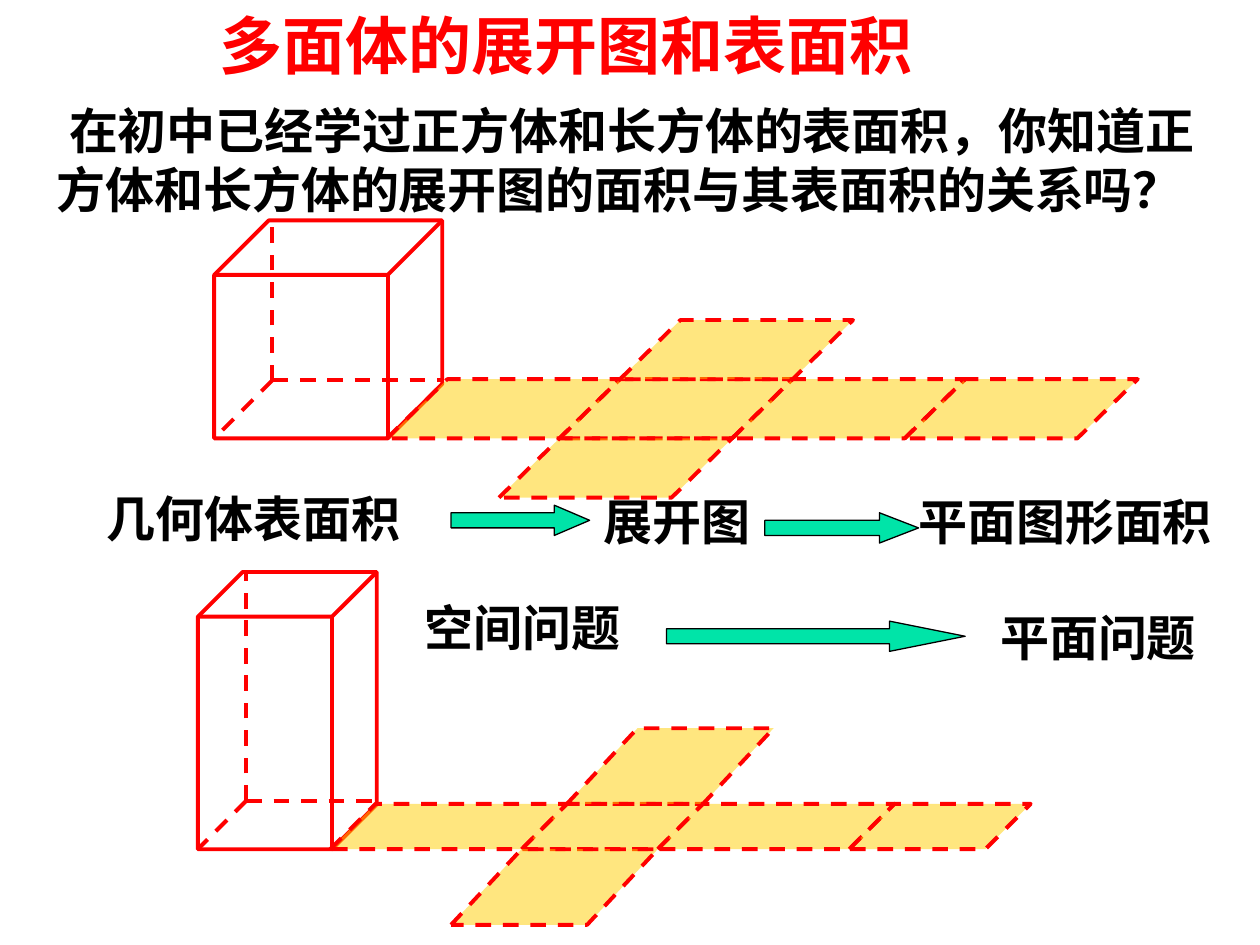
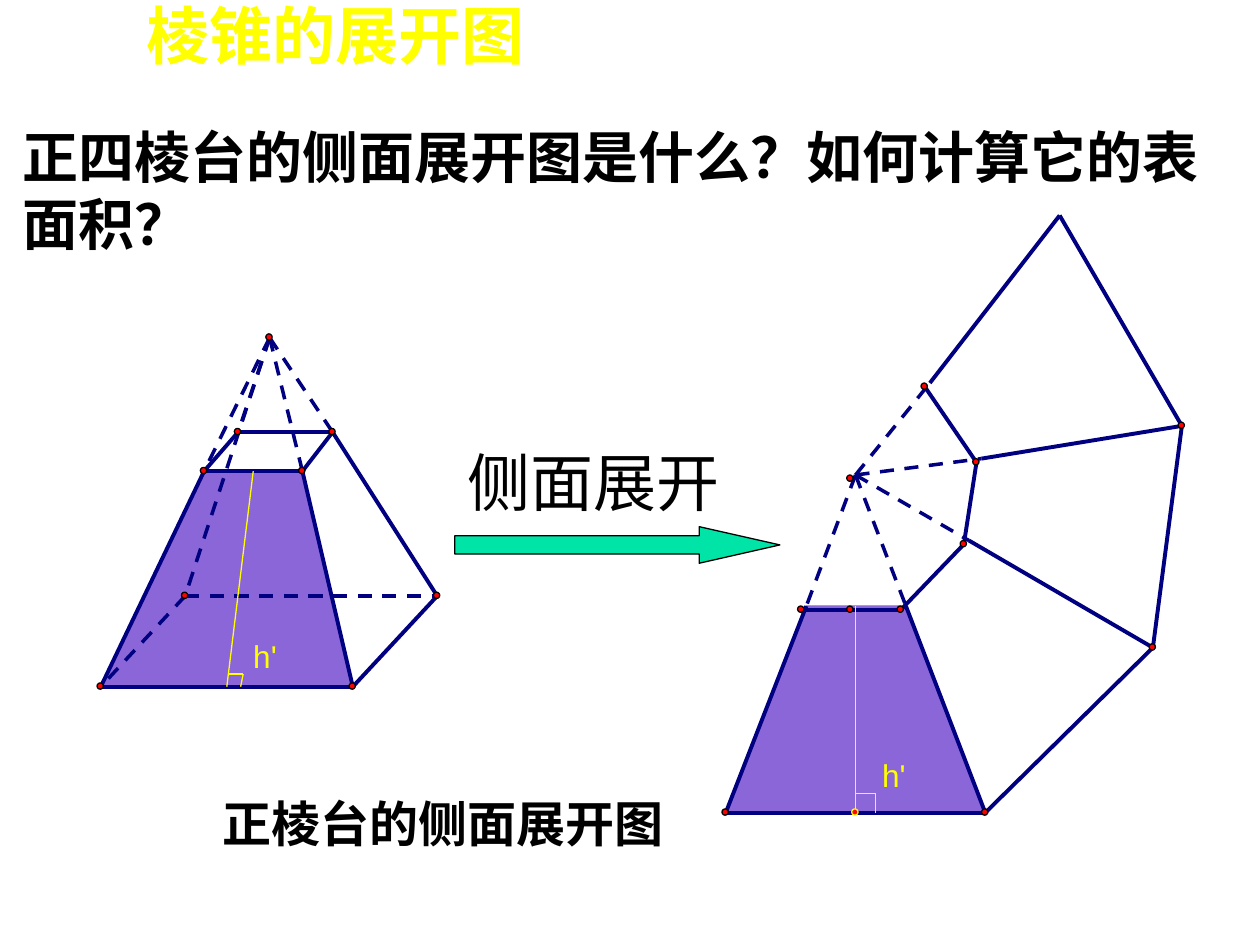
import pptx
import pptx.util
import pptx.dml.color
import pptx.enum.dml
import pptx.enum.shapes
import pptx.enum.text
import pptx.oxml
import pptx.oxml.ns
from dataclasses import dataclass

Inches = pptx.util.Inches
Pt = pptx.util.Pt
SHAPE = pptx.enum.shapes.MSO_SHAPE
ALIGN = pptx.enum.text.PP_ALIGN


@dataclass(frozen=True)
class Theme:
    """Colours, fonts and type sizes of the deck."""

    ink: str = "000000"
    red: str = "FF0000"
    yellow: str = "FFFF00"
    gold: str = "FFCF01"
    green: str = "00E4A8"
    navy: str = "000080"
    violet: str = "8A66D9"
    title_font: str = "Roboto"
    body_font: str = "Arial"
    serif_font: str = "Times New Roman"
    chinese_font: str = "Noto Sans CJK SC"
    title: int = 36
    question: int = 32
    body: int = 28
    label: int = 18
    thick: float = 2.25
    thin: float = 0.75
    leading: float = 1.2


THEME = Theme()


def rgb(colour):
    """Turn a hex string into a colour."""
    return pptx.dml.color.RGBColor.from_string(colour)


def write(frame, text, size=THEME.body, font=THEME.body_font, colour=THEME.ink,
          bold=True, align=ALIGN.LEFT, wrap=True, inset=(0.1, 0.05), indent=0):
    """Fill a text frame with one formatted paragraph."""
    frame.word_wrap = wrap
    frame.auto_size = pptx.enum.text.MSO_AUTO_SIZE.NONE
    frame.vertical_anchor = pptx.enum.text.MSO_ANCHOR.TOP
    frame.margin_left = frame.margin_right = Inches(inset[0])
    frame.margin_top = frame.margin_bottom = Inches(inset[1])
    paragraph = frame.paragraphs[0]
    paragraph.alignment = align
    paragraph.line_spacing = Pt(size * THEME.leading)
    if indent:
        paragraph._p.get_or_add_pPr().set("indent", str(Inches(indent)))
    run = paragraph.add_run()
    run.text = text
    run.font.size, run.font.bold, run.font.name = Pt(size), bold, font
    run.font.color.rgb = rgb(colour)
    east_asian = pptx.oxml.parse_xml(
        f'<a:ea {pptx.oxml.ns.nsdecls("a")} typeface="{THEME.chinese_font}"/>')
    run._r.get_or_add_rPr().find(pptx.oxml.ns.qn("a:latin")).addnext(east_asian)


def add_text(slide, box, text, **style):
    """Place text in a box given in inches."""
    write(slide.shapes.add_textbox(*map(Inches, box)).text_frame, text, **style)


def add_title(slide, box, text, colour):
    """Move and format the title placeholder."""
    title = slide.shapes.title
    title.left, title.top, title.width, title.height = map(Inches, box)
    write(title.text_frame, text, size=THEME.title, font=THEME.title_font,
          colour=colour, align=ALIGN.CENTER)


def stroke(line, colour, width, dashed=False):
    """Format an outline or a connector line."""
    line.color.rgb = rgb(colour)
    line.width = Pt(width)
    if dashed:
        line.dash_style = pptx.enum.dml.MSO_LINE.DASH


def paint(shape, fill=None, line=THEME.ink, width=THEME.thin, dashed=False):
    """Give a shape its fill and outline and no shadow."""
    shape.shadow.inherit = False
    if fill:
        shape.fill.solid()
        shape.fill.fore_color.rgb = rgb(fill)
    else:
        shape.fill.background()
    stroke(shape.line, line, width, dashed)


def add_preset(slide, kind, box, adjustments=(), **style):
    """Add a preset shape with its adjustments and paint."""
    shape = slide.shapes.add_shape(kind, *map(Inches, box))
    for index, value in enumerate(adjustments):
        shape.adjustments[index] = value
    paint(shape, **style)
    return shape


def add_line(slide, start, end, colour, width, dashed=False):
    """Draw a straight line between two points."""
    line = slide.shapes.add_connector(
        pptx.enum.shapes.MSO_CONNECTOR.STRAIGHT, *map(Inches, (*start, *end)))
    line._element.spPr.append(
        pptx.oxml.parse_xml(f'<a:effectLst {pptx.oxml.ns.nsdecls("a")}/>'))
    stroke(line.line, colour, width, dashed)


def add_arrow(slide, box, head):
    """Add a green block arrow whose head is given in inches."""
    add_preset(slide, SHAPE.RIGHT_ARROW, box, (0.5, head / box[3]), fill=THEME.green)


def add_prism(slide, box):
    """Draw a red box solid with its hidden edges dashed."""
    left, top, width, height = box
    add_preset(slide, SHAPE.CUBE, box, (0.25,), line=THEME.red, width=THEME.thick)
    depth = min(width, height) / 4 + 0.03
    hidden = (left + depth, top + height - depth)
    for end in ((hidden[0], top), (left, top + height), (left + width, hidden[1])):
        add_line(slide, hidden, end, THEME.red, THEME.thick, dashed=True)


def add_net_face(slide, box, slant):
    """Add one half-transparent slanted face of a net."""
    face = add_preset(slide, SHAPE.PARALLELOGRAM, box, (slant / min(box[2:]),),
                      fill=THEME.gold, line=THEME.red, width=THEME.thick, dashed=True)
    colour = face._element.spPr.find(pptx.oxml.ns.qn("a:solidFill"))[0]
    colour.append(pptx.oxml.parse_xml(
        f'<a:alpha {pptx.oxml.ns.nsdecls("a")} val="50000"/>'))


def add_prism_net(slide, left, top, edges, slant, height, flap_slant, flap_height):
    """Lay four side faces in a strip, with a flap above and below the second."""
    for index in range(4):
        edge = edges[index % 2]
        add_net_face(slide, (left, top, edge + slant, height), slant)
        if index == 1:
            flap = (edge + flap_slant, flap_height)
            add_net_face(slide, (left + slant, top - flap_height, *flap), flap_slant)
            add_net_face(slide, (left - flap_slant, top + height, *flap), flap_slant)
        left += edge


def add_figure(slide, left, top, points, face, edges, dashes, dots, marks, label):
    """Draw a labelled figure from named points relative to its corner."""
    at = {name: (left + x, top + y) for name, (x, y) in points.items()}
    corners = [tuple(map(Inches, at[name])) for name in face]
    outline = slide.shapes.build_freeform(*corners[0], scale=1.0)
    outline.add_line_segments(corners[1:], close=True)
    paint(outline.convert_to_shape(), fill=THEME.violet, line=THEME.violet, width=0)
    for pairs, colour, width, dashed in (
            (dashes, THEME.navy, 0, True),
            (edges, THEME.navy, THEME.thick, False),
            (marks, THEME.yellow, THEME.thin, False)):
        for start, end in pairs.split():
            add_line(slide, at[start], at[end], colour, width, dashed)
    add_text(slide, (left + label[0], top + label[1], 0.19, 0.3), "h'",
             size=THEME.label, colour=THEME.yellow, bold=False, wrap=False, inset=(0, 0))
    for name in dots:
        x, y = at[name]
        add_preset(slide, SHAPE.OVAL, (x - 0.03, y - 0.03, 0.05, 0.05), fill=THEME.red,
                   line=THEME.yellow if name == "M" else THEME.ink, width=0)


def add_frustum(slide, left, top):
    """Draw the frustum with the pyramid it was cut from."""
    points = {
        "P": (1.34, 0.02), "A": (0, 2.79), "B": (2, 2.79), "C": (2.67, 2.07),
        "D": (0.67, 2.07), "a": (0.82, 1.08), "b": (1.6, 1.08), "c": (1.84, 0.77),
        "d": (1.09, 0.77), "m": (1.21, 1.08), "M": (1, 2.79),
        "r": (1.01, 2.69), "s": (1.13, 2.69), "t": (1.11, 2.79)}
    add_figure(slide, left, top, points, "ABba", "AB BC ab bc cd da aA bB cC",
               "DA DC PD Pa Pb Pc Pd", "ABCDPabcd", "mM rs st", (1.21, 2.4))


def add_frustum_net(slide, left, top):
    """Draw the fan of side faces unfolded around the apex."""
    points = {
        "P": (1.03, 2.06), "A": (0, 4.74), "B": (2.06, 4.74), "C": (3.39, 3.43),
        "D": (3.62, 1.67), "E": (2.65, 0), "a": (0.64, 3.1), "b": (1.43, 3.1),
        "c": (1.93, 2.58), "d": (2.03, 1.93), "e": (1.62, 1.33), "m": (1.03, 3.1),
        "M": (1.03, 4.74), "r": (1.03, 4.59), "s": (1.19, 4.59), "t": (1.19, 4.74)}
    for inner, ring in zip("abcdemP", "vwxyznQ"):
        x, y = points[inner]
        points[ring] = (x - 0.04, y + 0.03)
    add_figure(slide, left, top, points, "ABba",
               "AB BC CD DE vw wx xy yz aA bB cC dD eE",
               "Pa Pb Pc Pd Pe", "ABCDMvwxyznQ", "mM rs st", (1.24, 4.29))


def build_prism_slide(slide):
    """Build the slide on prism nets and surface area."""
    add_title(slide, (1.3, 0, 6.38, 0.7), "多面体的展开图和表面积", THEME.red)
    add_text(slide, (0.35, 0.75, 9.37, 1.04),
             "在初中已经学过正方体和长方体的表面积，你知道正方体和长方体的展开图的面积与其表面积的关系吗？",
             indent=0.1)
    add_prism(slide, (1.7, 1.75, 1.81, 1.73))
    add_prism(slide, (1.57, 4.54, 1.42, 2.2))
    add_prism_net(slide, 3.07, 3.01, (1.37, 1.37), 0.48, 0.47, 0.48, 0.47)
    add_prism_net(slide, 2.62, 6.38, (1.52, 1.08), 0.36, 0.36, 0.56, 0.6)
    for text, left, top, width, wrap in (
            ("几何体表面积", 0.75, 3.83, 2.78, True),
            ("展开图", 4.69, 3.85, 1.36, False),
            ("平面图形面积", 7.19, 3.85, 2.81, True),
            ("空间问题", 3.27, 4.69, 1.75, False),
            ("平面问题", 7.84, 4.77, 1.97, True)):
        add_text(slide, (left, top, width, 0.57), text, wrap=wrap)
    for left, top, width, head in (
            (3.58, 4.01, 1.1, 0.28), (6.07, 4.07, 1.22, 0.31), (5.29, 4.93, 2.37, 0.6)):
        add_arrow(slide, (left, top, width, 0.24), head)


def build_frustum_slide(slide):
    """Build the slide on the net of a square frustum."""
    add_title(slide, (0.75, -0.08, 3.83, 0.7), "棱锥的展开图", THEME.yellow)
    add_text(slide, (0.08, 0.92, 9.67, 1.17),
             "正四棱台的侧面展开图是什么？如何计算它的表面积？",
             size=THEME.question, font=THEME.chinese_font)
    add_arrow(slide, (3.61, 4.18, 2.58, 0.29), 0.64)
    add_text(slide, (3.61, 3.47, 2.33, 0.7), "侧面展开",
             size=THEME.title, font=THEME.serif_font, bold=False)
    add_frustum(slide, 0.8, 2.66)
    add_frustum_net(slide, 5.76, 1.71)
    add_text(slide, (1.67, 6.25, 3.83, 0.57), "正棱台的侧面展开图")


def main():
    """Build both slides and save the deck."""
    deck = pptx.Presentation()
    deck.slide_width, deck.slide_height = Inches(10), Inches(7.5)
    for build in (build_prism_slide, build_frustum_slide):
        build(deck.slides.add_slide(deck.slide_layouts[5]))
    deck.save("out.pptx")


if __name__ == "__main__":
    main()
